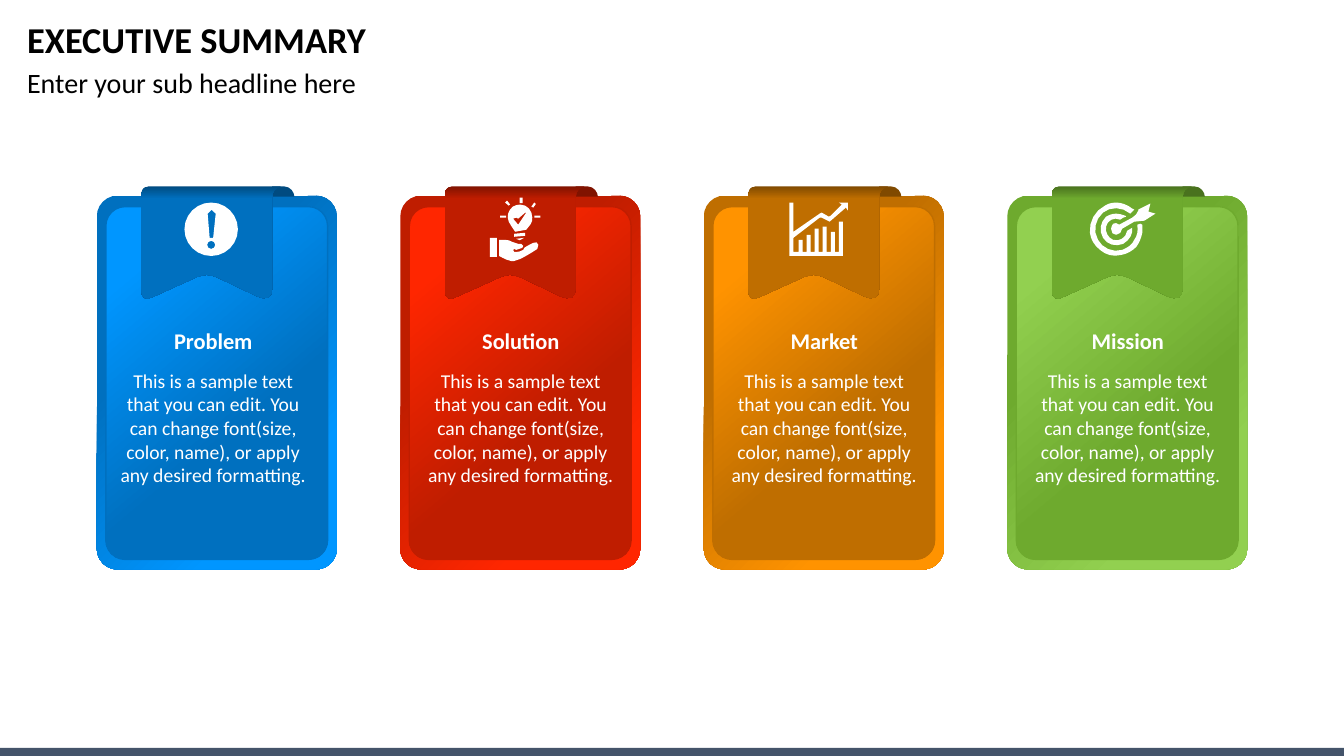
from math import cos, dist, pi, sin

from pptx import Presentation
from pptx.dml.color import RGBColor
from pptx.enum.shapes import MSO_SHAPE
from pptx.enum.text import MSO_ANCHOR, PP_ALIGN
from pptx.util import Inches, Pt

ROUNDED = MSO_SHAPE.ROUNDED_RECTANGLE
RECTANGLE = MSO_SHAPE.RECTANGLE
LEFT, CENTER = PP_ALIGN.LEFT, PP_ALIGN.CENTER
MIDDLE = MSO_ANCHOR.MIDDLE
FONT = "Calibri"
COLORS = {
    "ink": "000000", "white": "FFFFFF", "footer": "44546A",
    "blue": "0096FF", "blue_dark": "0070BF", "blue_fold": "004B80",
    "red": "FF2600", "red_dark": "BF1D00", "red_fold": "801300",
    "orange": "FF9300", "orange_dark": "BF6E00", "orange_fold": "804A00",
    "green": "92D050", "green_dark": "6EAA2E", "green_fold": "49721E",
}
SAMPLE = ("This is a sample text that you can edit. You can change font(size, "
          "color, name), or apply any desired formatting.")
CARD_LEFT, CARD_TOP, CARD_PITCH = 0.96, 1.85, 3.01


def circle(x, y, radius, steps):
    angles = [2 * pi * step / steps for step in range(steps)]
    return [(x + radius * cos(a), y + radius * sin(a)) for a in angles]


def box(left, top, right, bottom):
    return [(left, top), (right, top), (right, bottom), (left, bottom)]


FOLD = [[(172, 10), (196, 10), (196, 6, 192, 0, 186, 0), (174, 0)]]
RIBBON = [[
    (44, 13), (44, 101), (44, 111, 48, 114, 57, 109), (99, 90),
    (106, 87, 112, 87, 119, 90), (159, 109), (168, 113, 174, 111, 174, 101),
    (174, 11), (174, 5, 177, 2, 183, 0), (51, 0), (45, 1, 44, 5, 44, 13)]]
EXCLAMATION = [
    circle(113.5, 42.5, 26.5, 24),
    [(110, 27), (110, 22, 118, 22, 118, 27), (115.5, 51), (112, 51)],
    circle(113.5, 58, 4, 8)]
IDEA_IN_HAND = [
    [(119, 18), (126, 18, 131, 24, 131, 31), (131, 33, 131, 36, 129, 38),
     (125, 43), (114, 45), (110, 39), (107, 35, 106, 31, 107, 27),
     (109, 21, 113, 18, 119, 18)],
    [(124, 26), (117, 32), (115, 31), (112, 32), (117, 38), (125, 26)],
    [(113, 47), (124, 46), (124, 49), (113, 50)],
    [(123, 51), (121, 54, 116, 54, 115, 52)],
    [(98, 53), (101, 53), (105, 53, 108, 53, 111, 55), (117, 57),
     (120, 57), (122, 59), (121, 61), (115, 63),
     (113, 62), (112, 63), (113, 65), (116, 65, 120, 65, 122, 63),
     (123, 61), (126, 59), (132, 56), (134, 54, 137, 56, 137, 58), (136, 62),
     (130, 66, 125, 69, 119, 72), (113, 74), (110, 74), (105, 73, 102, 71, 98, 69)],
    box(89, 51, 96, 70), box(133, 29, 139, 31), box(99, 29, 105, 31),
    box(118.5, 11, 121.5, 16.5),
    [(133, 16), (134.5, 17.5), (132, 21), (130, 20)],
    [(106, 14), (109, 18), (107.5, 19), (104, 16)]]
BAR_TOPS = [53, 48, 42, 40, 45, 35]
GROWTH_CHART = [
    [(85, 69), (85, 16), (89, 16), (89, 45), (115, 27), (117, 26), (124, 30),
     (126, 29), (137, 18), (134, 16), (143, 16), (143, 24), (141, 21), (126, 34),
     (125, 35), (117, 31), (115, 31), (89, 51), (89, 65)]
    + [point for i, top in enumerate(BAR_TOPS)
       for point in ((94 + 8 * i, 65), (94 + 8 * i, top),
                     (98 + 8 * i, top), (98 + 8 * i, 65))]
    + [(138, 69)]]
TARGET = [
    [(108, 16), (113, 16, 119, 18, 124, 22), (126, 23), (122, 27),
     (114, 20, 102, 20, 95, 26), (87, 33, 85, 44, 90, 53),
     (94, 61, 105, 66, 114, 63), (119, 61, 124, 58, 126, 53),
     (129, 49, 130, 44, 129, 38), (132, 37), (134, 38), (134, 46),
     (133, 51, 131, 56, 128, 60), (124, 64, 119, 67, 113, 68),
     (105, 70, 98, 68, 92, 63), (86, 58, 83, 53, 82, 46),
     (81, 35, 87, 24, 97, 19), (100, 17, 104, 16, 108, 16)],
    [(108, 27), (111, 27, 114, 28, 117, 29), (118, 30), (115, 31), (112, 33),
     (106, 30, 99, 34, 98, 40), (97, 45, 100, 51, 105, 53),
     (111, 55, 118, 51, 119, 44), (124, 41), (125, 46, 122, 53, 115, 57),
     (108, 60, 99, 58, 95, 51), (91, 44, 92, 36, 98, 30),
     (101, 28, 105, 27, 108, 27)],
    [(142, 17), (141, 21), (140, 25), (147, 27), (136, 34),
     (126, 35), (114, 42), (114, 45, 111, 48, 108, 48),
     (105, 48, 103, 46, 103, 42), (103, 40, 104, 39, 105, 37),
     (107, 36, 109, 36, 111, 38), (124, 31), (127, 29, 129, 27, 130, 24),
     (130, 23)]]
CARDS = [
    ("Problem", "blue", EXCLAMATION, 0.12),
    ("Solution", "red", IDEA_IN_HAND, 0.16),
    ("Market", "orange", GROWTH_CHART, 0.16),
    ("Mission", "green", TARGET, 0.16),
]


def rgb(color):
    return RGBColor.from_string(COLORS[color])


def paint(shape, color):
    shape.shadow.inherit = False
    shape.line.fill.background()
    shape.fill.solid()
    shape.fill.fore_color.rgb = rgb(color)


def paint_gradient(shape, angle, *stops):
    shape.shadow.inherit = False
    shape.line.fill.background()
    shape.fill.gradient()
    shape.fill.gradient_angle = 360 - angle
    for stop, (position, color) in zip(shape.fill.gradient_stops, stops):
        stop.position = position
        stop.color.rgb = rgb(color)


def flatten(contour):
    points = []
    for node in contour:
        if len(node) == 2:
            points.append(node)
            continue
        corners = [points[-1], node[:2], node[2:4], node[4:]]
        steps = min(4, max(2, round(dist(corners[0], corners[3]) / 4)))
        for step in range(1, steps + 1):
            t = step / steps
            weights = ((1 - t) ** 3, 3 * t * (1 - t) ** 2, 3 * t * t * (1 - t), t ** 3)
            points.append(tuple(sum(w * corner[axis] for w, corner in zip(weights, corners))
                                for axis in (0, 1)))
    return [(Inches(x / 100), Inches(y / 100)) for x, y in points]


def add_outline(shapes, contours, left, top):
    first, *others = [flatten(contour) for contour in contours]
    builder = shapes.build_freeform(*first[0], scale=1.0)
    builder.add_line_segments(first[1:], close=True)
    for points in others:
        builder.move_to(*points[0])
        builder.add_line_segments(points[1:], close=True)
    return builder.convert_to_shape(Inches(left), Inches(top))


def write(holder, text, size, color, bold=False, align=LEFT):
    frame = holder.text_frame
    frame.word_wrap = True
    paragraph = frame.paragraphs[0]
    paragraph.alignment = align
    run = paragraph.add_run()
    run.text = text
    run.font.name, run.font.size, run.font.bold = FONT, Pt(size), bold
    run.font.color.rgb = rgb(color)
    return paragraph


def add_rounded(shapes, left, top, width, height):
    panel = shapes.add_shape(ROUNDED, *map(Inches, (left, top, width, height)))
    panel.adjustments[0] = 0.087
    return panel


def add_header(slide, left, top, width):
    title = slide.shapes.title
    title.left, title.top, title.width, title.height = map(Inches, (left, top, width, 0.48))
    title.text_frame.vertical_anchor = MIDDLE
    write(title, "EXECUTIVE SUMMARY", 26, "ink", bold=True).line_spacing = 0.9
    subtitle = slide.shapes.add_textbox(*map(Inches, (left, top + 0.47, width, 0.64)))
    write(subtitle, "Enter your sub headline here", 20, "ink").line_spacing = 0.9


def add_card(slide, left, top, heading, hue, icon, text_shift):
    dark, fold_color = f"{hue}_dark", f"{hue}_fold"
    parts = slide.shapes.add_group_shape().shapes
    frame = add_rounded(parts, left, top + 0.09, 2.38, 3.71)
    paint_gradient(frame, 45, (0.33, dark), (0.78, hue))
    panel = add_rounded(parts, left + 0.09, top + 0.2, 2.2, 3.5)
    paint_gradient(panel, 50, (0.16, hue), (0.62, dark))
    panel.line.color.rgb = rgb(dark)
    panel.line.width = Pt(1)
    paint(add_outline(parts, FOLD, left, top), fold_color)
    ribbon = add_outline(parts, RIBBON, left, top)
    paint_gradient(ribbon, 90, (0, fold_color), (0.11, dark))
    paint(add_outline(slide.shapes, icon, left, top), "white")
    text_left = left + text_shift
    body = slide.shapes.add_textbox(*map(Inches, (text_left, top + 1.76, 2.07, 1.28)))
    write(body, SAMPLE, 14, "white", align=CENTER)
    label = slide.shapes.add_textbox(*map(Inches, (text_left + 0.34, top + 1.35, 1.39, 0.37)))
    write(label, heading, 16, "white", bold=True, align=CENTER)


def add_footer(slide, top, width):
    paint(slide.shapes.add_shape(RECTANGLE, 0, Inches(top), Inches(width), Inches(0.08)), "footer")


def main():
    deck = Presentation()
    deck.slide_width, deck.slide_height = Inches(13.33), Inches(7.5)
    slide = deck.slides.add_slide(deck.slide_layouts[5])
    add_footer(slide, 7.42, 13.33)
    add_header(slide, 0.17, 0.17, 13)
    for index, card in enumerate(CARDS):
        add_card(slide, CARD_LEFT + index * CARD_PITCH, CARD_TOP, *card)
    deck.save("out.pptx")


if __name__ == "__main__":
    main()
